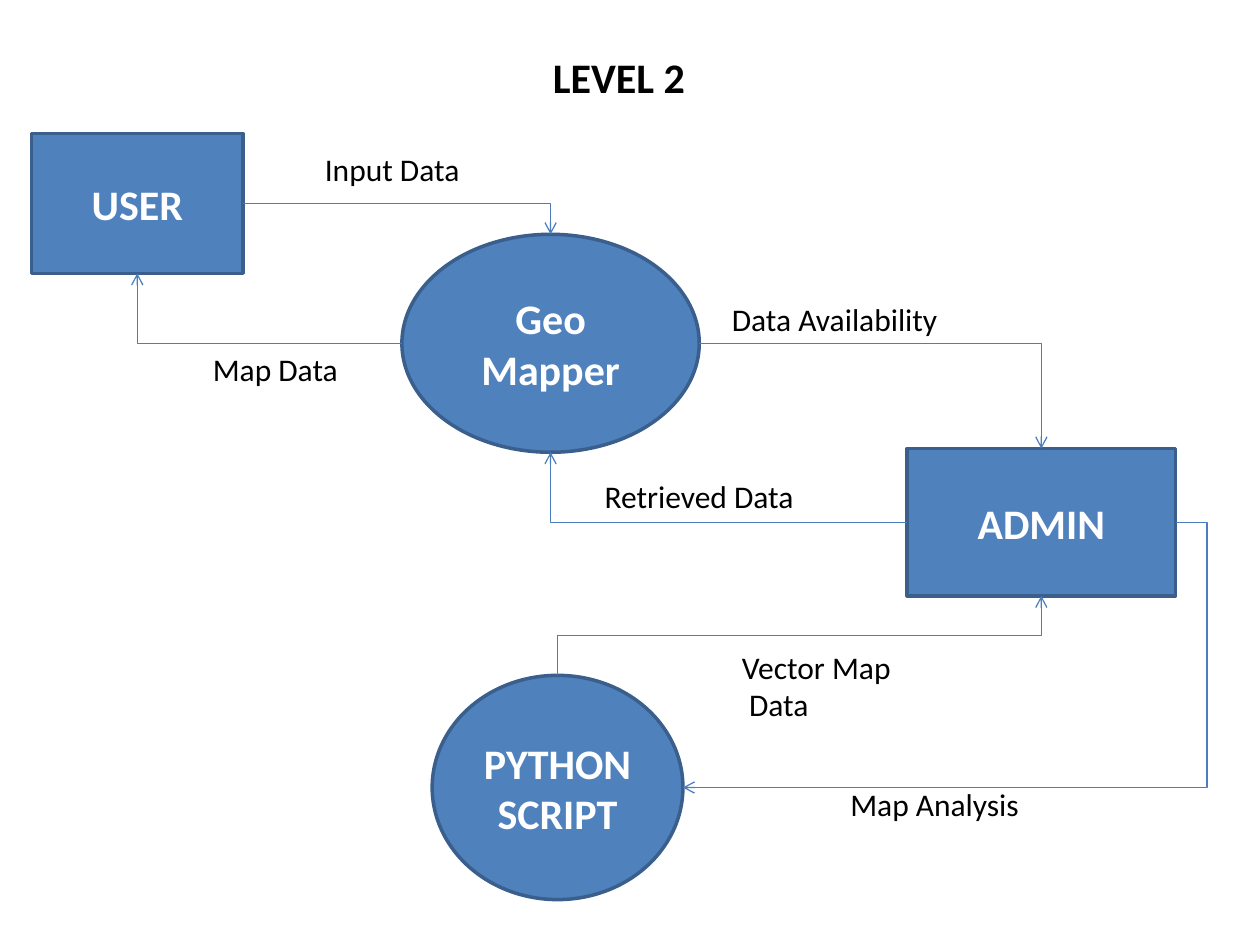
from lxml import etree
from pptx import Presentation
from pptx import util as u
from pptx.dml.color import RGBColor
from pptx.enum import shapes, text
from pptx.oxml.ns import qn

COLOURS = {"fill": "4F81BD", "border": "3A5F8C", "flow": "4B7EBC",
           "label": "000000", "node": "FFFFFF"}
CELL = u.Inches(0.1)  # the slide is a grid of 100 columns by 75 rows
TOP, LEFT, BOTTOM, RIGHT = range(4)


def cells(*counts):
    return [u.Emu(round(count * CELL)) for count in counts]


def colour(name):
    return RGBColor.from_string(COLOURS[name])


def write(frame, wording, size, ink, bold=False):
    frame.text = wording
    for para in frame.paragraphs:
        para.font.name = "Calibri"
        para.font.size = u.Pt(size)
        para.font.bold = bold
        para.font.color.rgb = colour(ink)


def add_node(page, kind, wording, *place):
    node = page.shapes.add_shape(kind, *cells(*place))
    node.shadow.inherit = False
    node.fill.solid()
    node.fill.fore_color.rgb = colour("fill")
    node.line.color.rgb = colour("border")
    node.line.width = u.Pt(2)
    write(node.text_frame, wording, 24, "node", bold=True)
    node.text_frame.vertical_anchor = text.MSO_ANCHOR.MIDDLE
    for para in node.text_frame.paragraphs:
        para.alignment = text.PP_ALIGN.CENTER
    return node


def add_label(page, wording, *place, size=18, bold=False):
    box = page.shapes.add_textbox(*cells(*place))
    write(box.text_frame, wording, size, "label", bold)
    box.text_frame.word_wrap = False
    box.text_frame.auto_size = text.MSO_AUTO_SIZE.SHAPE_TO_FIT_TEXT


def add_flow(page, source, source_side, target, target_side, bend=None):
    """Join two nodes by an elbow arrow: one corner, or two with the middle leg at bend."""
    flow = page.shapes.add_connector(shapes.MSO_CONNECTOR.ELBOW, 0, 0, 0, 0)
    flow.begin_connect(source, source_side)
    flow.end_connect(target, target_side)
    flow.line.color.rgb = colour("flow")
    flow.line.width = u.Pt(0.75)
    properties = flow._element.spPr
    for node, tag in ((source, "a:stCxn"), (target, "a:endCxn")):
        if node.auto_shape_type == shapes.MSO_SHAPE.OVAL:
            # An oval has eight joints, so its sides are every second one.
            joint = next(flow._element.iter(qn(tag)))
            joint.set("idx", str(2 * int(joint.get("idx"))))
    geometry = properties.find(qn("a:prstGeom"))
    if bend is None:
        geometry.set("prst", "bentConnector2")
    else:
        guides = geometry.find(qn("a:avLst"))
        etree.SubElement(guides, qn("a:gd"), name="adj1",
                         fmla=f"val {round(bend * 100000)}")
    etree.SubElement(flow.line._get_or_add_ln(), qn("a:tailEnd"), type="arrow")
    etree.SubElement(properties, qn("a:effectLst"))
    return flow


def turn_upward(flow):
    """Turn a rightward, rising elbow so that its first leg is vertical."""
    centre_x = flow.left + flow.width // 2
    centre_y = flow.top + flow.height // 2
    flow.width, flow.height = flow.height, flow.width
    flow.left = centre_x - flow.width // 2
    flow.top = centre_y - flow.height // 2
    frame = flow._element.spPr.find(qn("a:xfrm"))
    for name, value in (("rot", "5400000"), ("flipH", "1"), ("flipV", "1")):
        frame.set(name, value)


def main():
    deck = Presentation()
    deck.slide_width, deck.slide_height = cells(100, 75)
    page = deck.slides.add_slide(deck.slide_layouts[6])

    add_label(page, "LEVEL 2", 42.9, 3.6, 12.6, 5, size=24, bold=True)

    oval, box = shapes.MSO_SHAPE.OVAL, shapes.MSO_SHAPE.RECTANGLE
    mapper = add_node(page, oval, "Geo Mapper", 31.9, 18.6, 23.6, 17.3)
    script = add_node(page, oval, "PYTHON SCRIPT", 34.3, 53.6, 19.9, 17.8)
    user = add_node(page, box, "USER", 2.5, 10.6, 16.8, 11.1)
    admin = add_node(page, box, "ADMIN", 72, 35.6, 21.3, 11.7)

    add_flow(page, user, RIGHT, mapper, TOP)
    add_flow(page, mapper, LEFT, user, BOTTOM)
    add_flow(page, mapper, RIGHT, admin, TOP)
    add_flow(page, admin, LEFT, mapper, BOTTOM)
    turn_upward(add_flow(page, script, TOP, admin, BOTTOM, bend=0.5))
    add_flow(page, admin, RIGHT, script, RIGHT, bend=-0.064)

    for wording, *place in (
        ("Input Data", 24.8, 11.4, 12.8, 4),
        ("Map Data", 15.9, 27.3, 12.1, 4),
        ("Map Analysis", 66.5, 61.8, 15.5, 4),
        ("Data Availability", 57.1, 23.3, 18.5, 4),
        ("Retrieved Data", 47, 37.4, 17.2, 4),
        ("Vector Map\n Data", 57.9, 50.9, 14, 7.1),
    ):
        add_label(page, wording, *place)

    deck.save("out.pptx")


if __name__ == "__main__":
    main()
